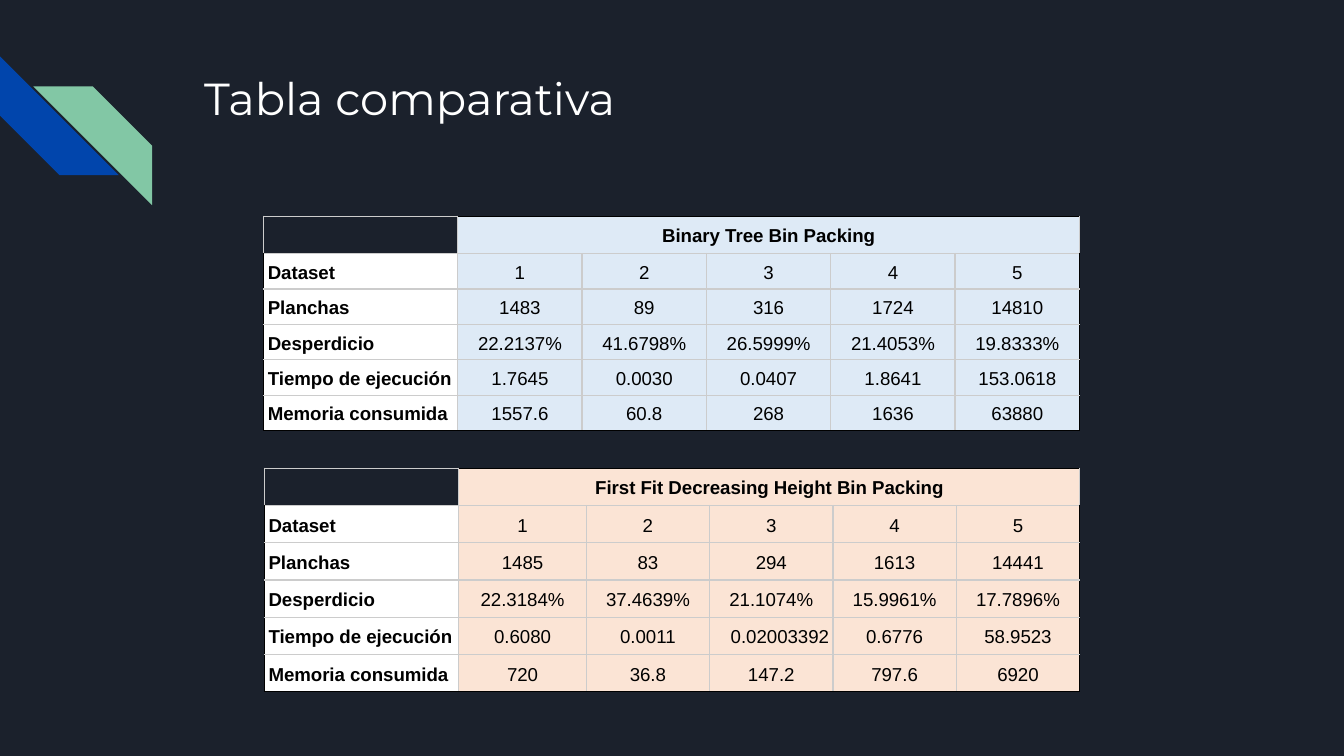
from lxml import etree
from pptx import Presentation
from pptx import util as u
from pptx.dml.color import RGBColor
from pptx.enum import shapes, text
from pptx.oxml.ns import qn

WIDTH = u.Inches(10)
HEIGHT = WIDTH * 9 // 16
GRID, EDGE, WHITE, INK = "CCCCCC", "000000", "FFFFFF", "000000"
MEASURES = ["Dataset", "Planchas", "Desperdicio", "Tiempo de ejecución", "Memoria consumida"]
DATASETS = ["1", "2", "3", "4", "5"]

BINARY_TREE = [
    DATASETS,
    ["1483", "89", "316", "1724", "14810"],
    ["22.2137%", "41.6798%", "26.5999%", "21.4053%", "19.8333%"],
    ["1.7645", "0.0030", "0.0407", "1.8641", "153.0618"],
    ["1557.6", "60.8", "268", "1636", "63880"],
]
FIRST_FIT = [
    DATASETS,
    ["1485", "83", "294", "1613", "14441"],
    ["22.3184%", "37.4639%", "21.1074%", "15.9961%", "17.7896%"],
    ["0.6080", "0.0011", "0.02003392", "0.6776", "58.9523"],
    ["720", "36.8", "147.2", "797.6", "6920"],
]


def paint(fill, color):
    fill.solid()
    fill.fore_color.rgb = RGBColor.from_string(color)


def place(left, top, width, height):
    """Turn percentages of the slide into a box."""
    return (int(WIDTH * left / 100), int(HEIGHT * top / 100),
            int(WIDTH * width / 100), int(HEIGHT * height / 100))


def add_stripes(slide, box):
    """Two diagonal stripes, at the lower left and upper right of the box."""
    left, top, width, height = box
    side = int(width * 0.78)
    blue_top = top
    green_left, green_top = left + width - side, top + height - side
    for x, y, color, turned in ((left, blue_top, "0145AC", True),
                                (green_left, green_top, "82C7A5", False)):
        stripe = slide.shapes.add_shape(shapes.MSO_SHAPE.DIAGONAL_STRIPE, x, y, side, side)
        stripe.adjustments[0] = 0.5
        stripe.shadow.inherit = False
        paint(stripe.fill, color)
        stripe.line.fill.background()
        if turned:
            stripe.rotation = 270
        else:
            stripe._element.spPr.find(qn("a:xfrm")).set("flipH", "1")


def add_title(slide, box, wording):
    frame = slide.shapes.add_textbox(*box).text_frame
    frame.word_wrap = True
    frame.margin_left = frame.margin_right = u.Inches(0.1)
    frame.margin_top = frame.margin_bottom = u.Inches(0.1)
    heading = frame.paragraphs[0]
    heading.text = wording
    heading.font.name, heading.font.size = "Montserrat", u.Pt(24)
    heading.font.color.rgb = RGBColor.from_string(WHITE)


def set_borders(cell, colors):
    """Colors in the order left, right, top, bottom."""
    properties = cell._tc.get_or_add_tcPr()
    for index, (side, color) in enumerate(zip("LRTB", colors)):
        line = etree.Element(qn(f"a:ln{side}"), w=str(u.Pt(0.75)))
        solid = etree.SubElement(line, qn("a:solidFill"))
        etree.SubElement(solid, qn("a:srgbClr"), val=color)
        properties.insert(index, line)


def fill_cell(cell, wording, color, bold, align):
    cell.margin_left = cell.margin_right = u.Inches(0.03)
    cell.margin_top = cell.margin_bottom = 0
    cell.vertical_anchor = text.MSO_ANCHOR.MIDDLE
    entry = cell.text_frame.paragraphs[0]
    entry.text = wording
    entry.alignment, entry.line_spacing = align, 1.15
    entry.font.name, entry.font.size, entry.font.bold = "Arial", u.Pt(10), bold
    entry.font.color.rgb = RGBColor.from_string(INK)
    if color:
        paint(cell.fill, color)
    else:
        cell.fill.background()


def add_results(slide, box, method, values, tint, col_shares, row_shares, right_aligned=()):
    rows = [["", method, "", "", "", ""]]
    rows += [[measure, *line] for measure, line in zip(MEASURES, values)]
    last_row, last_col = len(rows) - 1, len(rows[0]) - 1
    results = slide.shapes.add_table(len(rows), len(rows[0]), *box).table
    results.first_row = results.horz_banding = False

    # Column widths and row heights
    for column, share in zip(results.columns, col_shares):
        column.width = int(box[2] * share / sum(col_shares))
    for row, share in zip(results.rows, row_shares):
        row.height = int(box[3] * share / sum(row_shares))

    # Cells, with a dark outline except round the empty corner
    for r, line in enumerate(rows):
        for c, wording in enumerate(line):
            cell = results.cell(r, c)
            label, corner = c == 0, r == c == 0
            color = None if corner else WHITE if label else tint
            align = text.PP_ALIGN.LEFT if label else text.PP_ALIGN.CENTER
            if wording in right_aligned:
                align = text.PP_ALIGN.RIGHT
            fill_cell(cell, wording, color, label or r == 0, align)
            outer = (label and not corner, c == last_col, r == 0 and not corner, r == last_row)
            set_borders(cell, [EDGE if dark else GRID for dark in outer])
    results.cell(0, 1).merge(results.cell(0, last_col))


def main():
    deck = Presentation()
    deck.slide_width, deck.slide_height = WIDTH, HEIGHT
    slide = deck.slides.add_slide(deck.slide_layouts[6])
    paint(slide.background.fill, "1B212C")

    add_stripes(slide, place(0, 7.45, 11.33, 19.7))
    add_title(slide, place(14.2, 7.6, 77, 17.8), "Tabla comparativa")
    add_results(slide, place(19.63, 28.6, 60.7, 28.4), "Binary Tree Bin Packing",
                BINARY_TREE, "DEEAF6", [1.45] + [0.93] * 5, [1.05] + [1] * 5)
    add_results(slide, place(19.68, 61.95, 60.65, 29.6), "First Fit Decreasing Height Bin Packing",
                FIRST_FIT, "FBE4D5", [1.45, 0.95] + [0.92] * 4, [1] * 6,
                right_aligned=("0.02003392",))
    deck.save("out.pptx")


if __name__ == "__main__":
    main()
